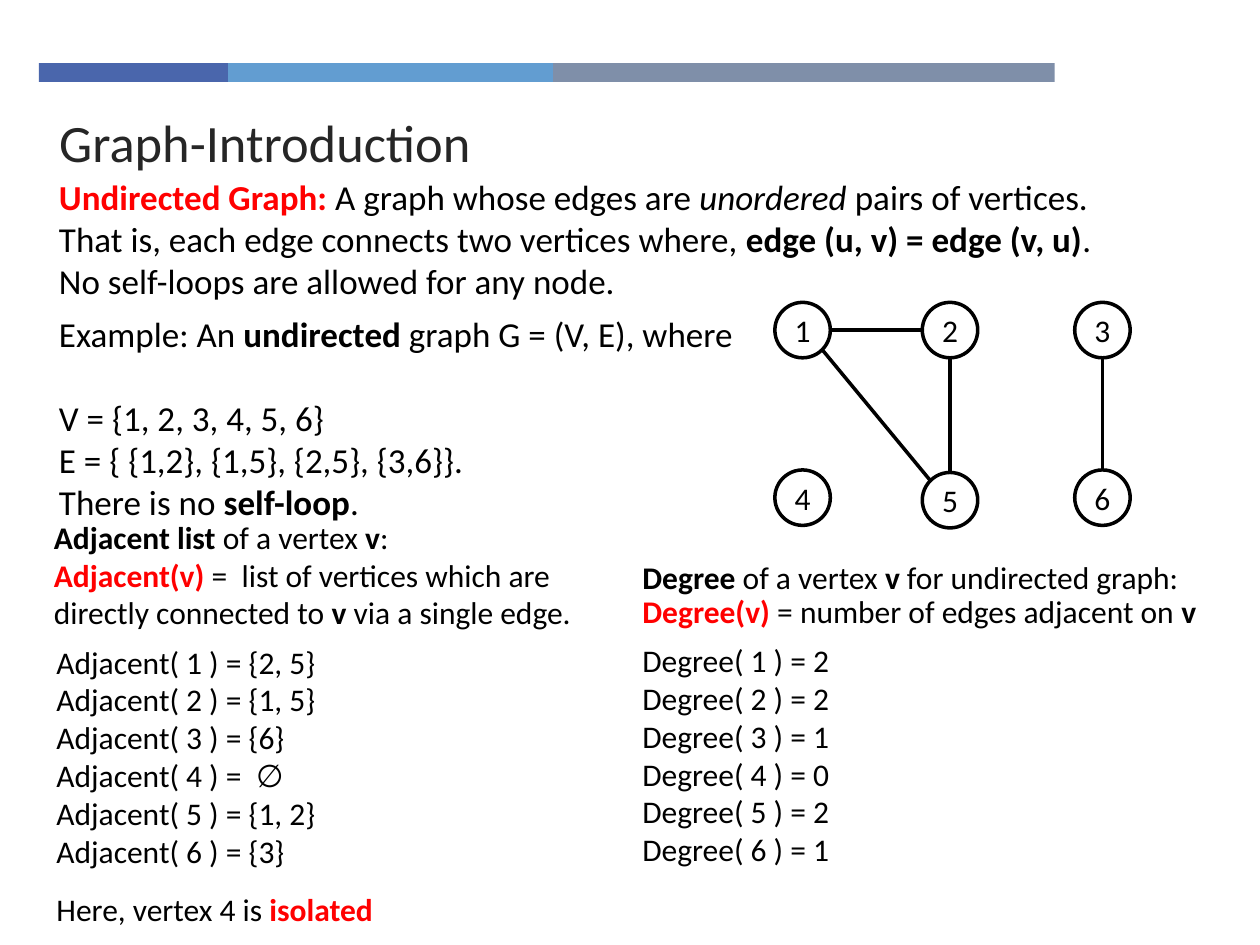
from pptx import Presentation
from pptx.dml.color import RGBColor
from pptx.enum.shapes import MSO_CONNECTOR, MSO_SHAPE
from pptx.enum.text import MSO_ANCHOR, PP_ALIGN
from pptx.oxml.ns import qn
from pptx.util import Inches, Pt

RECTANGLE, OVAL = MSO_SHAPE.RECTANGLE, MSO_SHAPE.OVAL
STRAIGHT = MSO_CONNECTOR.STRAIGHT
TOP, MIDDLE = MSO_ANCHOR.TOP, MSO_ANCHOR.MIDDLE
LEFT, CENTER, JUSTIFY = PP_ALIGN.LEFT, PP_ALIGN.CENTER, PP_ALIGN.JUSTIFY

COLUMNS, ROWS = 100, 75
CELL = Inches(0.1)
FONT = "Calibri"
COLORS = {
    "title": "262626", "text": "000000", "key": "FF0000", "node": "FFFFFF",
    "band_blue": "4A66AC", "band_sky": "629DD1", "band_grey": "7F8FA9",
}
STYLES = {
    "plain": {},
    "bold": {"bold": True},
    "italic": {"italic": True},
    "key": {"bold": True, "color": "key"},
    "title": {"color": "title"},
}

BANDS = [("band_blue", 15), ("band_sky", 25.8), ("band_grey", 39.8)]
NEIGHBOURS = {1: [2, 5], 2: [1, 5], 3: [6], 4: [], 5: [1, 2], 6: [3]}
# Centre of each vertex, in columns and rows from the corner of the drawing
VERTEX_CENTRES = {
    1: (2.2, 2.2), 2: (13.9, 2.2), 3: (26, 2.2),
    4: (2.2, 15.5), 5: (13.9, 15.7), 6: (26, 15.5),
}
RADIUS = 2.2
# Start vertex, end vertex, direction in which the edge leaves the start
EDGES = [(1, 2, (1, 0)), (2, 5, (0, 1)), (1, 5, (0.71, 0.71)), (3, 6, (0, 1))]

DEFINITION = [
    [("Undirected Graph: ", "key"), ("A graph whose edges are ", "plain"),
     ("unordered", "italic"), (" pairs of vertices.", "plain")],
    [("That is, each edge connects two vertices where, ", "plain"),
     ("edge (u, v) = edge (v, u)", "bold"), (".", "plain")],
    [("No self-loops are allowed for any node.", "plain")],
]
EXAMPLE = [
    [("Example: An ", "plain"), ("undirected", "bold"),
     (" graph G = (V, E), where", "plain")],
    [("V = {1, 2, 3, 4, 5, 6}", "plain")],
    [("E = { {1,2}, {1,5}, {2,5}, {3,6}}.", "plain")],
    [("There is no ", "plain"), ("self-loop", "bold"), (".", "plain")],
]
ADJACENT_RULE = [
    [("Adjacent list", "bold"), (" of a vertex ", "plain"), ("v", "bold"), (":", "plain")],
    [("Adjacent(v)", "key"),
     (" =  list of vertices which are directly connected to ", "plain"),
     ("v ", "bold"), ("via a single edge.", "plain")],
]
DEGREE_RULE = [
    [("Degree", "bold"), (" of a vertex ", "plain"), ("v", "bold"),
     (" for undirected graph:", "plain")],
    [("Degree(v)", "key"), (" = number of edges adjacent on ", "plain"), ("v", "bold")],
]
ISOLATED = [("Here, vertex 4 is ", "plain"), ("isolated", "key")]


def cells(*counts):
    return [round(count * CELL) for count in counts]


def rgb(name):
    return RGBColor.from_string(COLORS[name])


def write(frame, paragraphs, size, gaps=None, **layout):
    """Fill a text frame; gaps maps a paragraph index to its space before in points."""
    frame.word_wrap = True
    for index, runs in enumerate(paragraphs):
        paragraph = frame.paragraphs[0] if index == 0 else frame.add_paragraph()
        spacing = {"space_before": Pt((gaps or {}).get(index, 0))}
        for attribute, value in {**spacing, **layout}.items():
            setattr(paragraph, attribute, value)
        for text, style in runs:
            run = paragraph.add_run()
            run.text = text
            look = {"name": FONT, "size": Pt(size), "bold": False, "color": "text",
                    **STYLES[style]}
            run.font.color.rgb = rgb(look.pop("color"))
            for attribute, value in look.items():
                setattr(run.font, attribute, value)


def add_text(slide, box, paragraphs, size, **layout):
    frame = slide.shapes.add_textbox(*cells(*box)).text_frame
    write(frame, paragraphs, size, **layout)


def add_flat_shape(slide, kind, box, color):
    shape = slide.shapes.add_shape(kind, *cells(*box))
    shape.shadow.inherit = False
    shape.fill.solid()
    shape.fill.fore_color.rgb = rgb(color)
    shape.line.fill.background()
    return shape


def draw_bands(slide, left, top, height):
    for color, width in BANDS:
        add_flat_shape(slide, RECTANGLE, (left, top, width, height), color)
        left += width


def place_title(slide, box, text):
    title = slide.shapes.title
    title.left, title.top, title.width, title.height = cells(*box)
    frame = title.text_frame
    frame.vertical_anchor = TOP
    frame.margin_top = Inches(0.07)
    write(frame, [[(text, "title")]], 30, alignment=LEFT)


def draw_vertex(slide, x, y, label):
    box = (x - RADIUS, y - RADIUS, 2 * RADIUS, 2 * RADIUS)
    vertex = add_flat_shape(slide, OVAL, box, "node")
    vertex.line.color.rgb = rgb("text")
    vertex.line.width = Pt(2)
    frame = vertex.text_frame
    frame.vertical_anchor = MIDDLE
    for side in ("left", "right", "top", "bottom"):
        setattr(frame, f"margin_{side}", 0)
    write(frame, [[(label, "plain")]], 18, alignment=CENTER)


def draw_edge(slide, start, end, direction):
    """Join the rims of two vertices given by their centres."""
    dx, dy = (RADIUS * part for part in direction)
    ends = cells(start[0] + dx, start[1] + dy, end[0] - dx, end[1] - dy)
    edge = slide.shapes.add_connector(STRAIGHT, *ends)
    edge.line.color.rgb = rgb("text")
    edge.line.width = Pt(2)
    properties = edge._element.spPr
    properties.append(properties.makeelement(qn("a:effectLst"), {}))


def draw_graph(slide, left, top):
    centres = {number: (left + x, top + y) for number, (x, y) in VERTEX_CENTRES.items()}
    for number, centre in centres.items():
        draw_vertex(slide, *centre, str(number))
    for start, end, direction in EDGES:
        draw_edge(slide, centres[start], centres[end], direction)


def neighbour_set(vertices):
    return "{" + ", ".join(map(str, vertices)) + "}" if vertices else " ∅"


def place_adjacency(slide, left, top):
    values = [[(f"Adjacent( {vertex} ) = {neighbour_set(others)}", "plain")]
              for vertex, others in NEIGHBOURS.items()]
    add_text(slide, (left, top, 44, 10.1), ADJACENT_RULE, 18)
    add_text(slide, (left + 0.2, top + 9.9, 47.6, 24.2), values + [ISOLATED], 18,
             gaps={len(values): 12})


def place_degrees(slide, left, top):
    values = [[(f"Degree( {vertex} ) = {len(others)}", "plain")]
              for vertex, others in NEIGHBOURS.items()]
    add_text(slide, (left, top, 48.5, 6.5), DEGREE_RULE, 18, line_spacing=0.9)
    add_text(slide, (left, top + 6.3, 17.3, 19.2), values, 18)


def main():
    deck = Presentation()
    deck.slide_width, deck.slide_height = cells(COLUMNS, ROWS)
    slide = deck.slides.add_slide(deck.slide_layouts[5])
    draw_bands(slide, 3.1, 5, 1.5)
    place_title(slide, (3.7, 8, 71.6, 5.4), "Graph-Introduction")
    add_text(slide, (3.7, 13.4, 86, 11.1), DEFINITION, 20, alignment=JUSTIFY)
    add_text(slide, (3.7, 24.3, 55.6, 14.5), EXAMPLE, 20, gaps={1: 24})
    place_adjacency(slide, 3.3, 40.6)
    place_degrees(slide, 50, 44.1)
    draw_graph(slide, 61.5, 24)
    deck.save("out.pptx")


if __name__ == "__main__":
    main()
